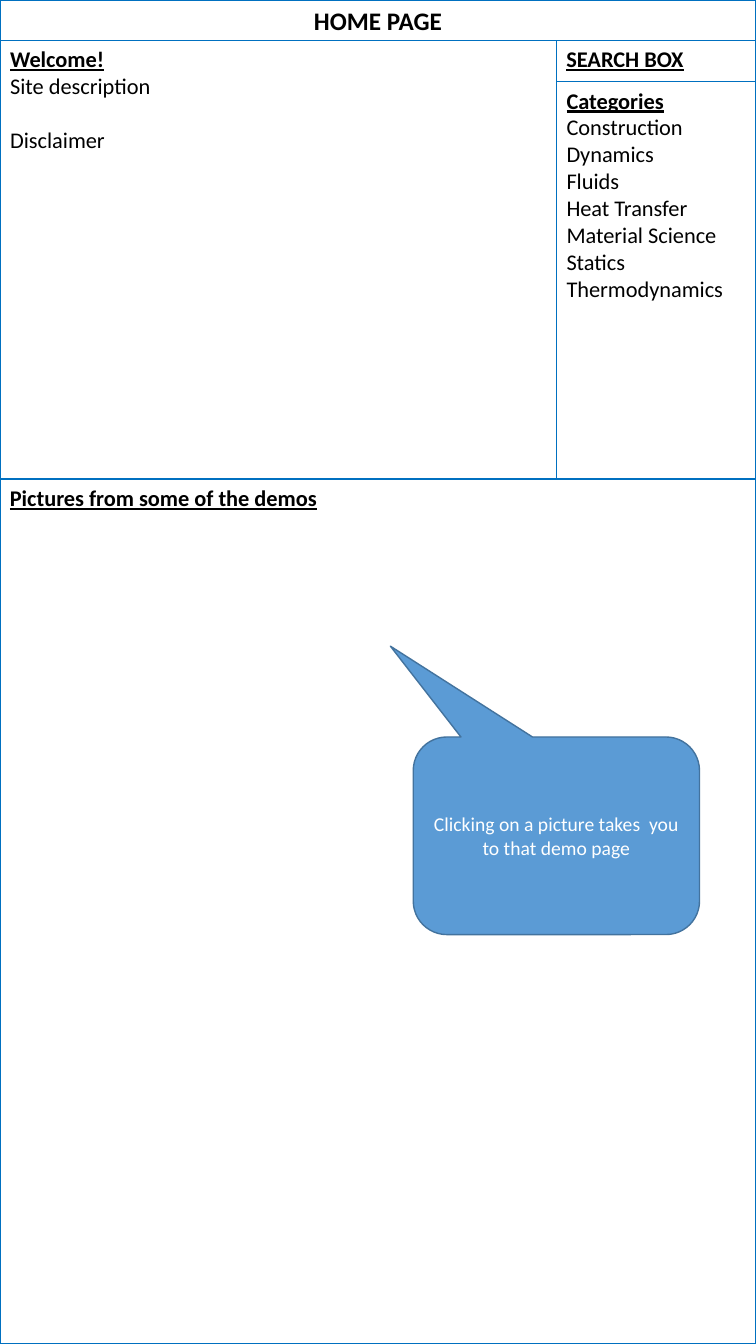
from dataclasses import dataclass
from typing import Optional

from lxml import etree
from pptx import Presentation
from pptx.dml.color import RGBColor
from pptx.enum import shapes, text
from pptx.oxml import ns
from pptx.util import Inches, Pt


@dataclass(frozen=True)
class Theme:
    font: str = "Calibri"
    ink: str = "000000"
    light: str = "FFFFFF"
    border: str = "0070C0"
    callout_fill: str = "5B9BD5"
    callout_line: str = "43739E"
    title_size: float = 18
    panel_size: float = 16
    callout_size: float = 14
    blank_line: float = 19.5


@dataclass(frozen=True)
class Entry:
    words: str
    heading: bool = False
    gap: float = 0


@dataclass(frozen=True)
class Panel:
    left: float
    top: float
    width: float
    height: float
    entries: tuple[Entry, ...] = ()
    placeholder: Optional[int] = None
    size: float = Theme.panel_size
    colour: str = Theme.ink
    underline: bool = True
    align: text.PP_ALIGN = text.PP_ALIGN.JUSTIFY
    anchor: text.MSO_ANCHOR = text.MSO_ANCHOR.TOP
    outline: str = Theme.border
    line_width: float = 1
    fill: Optional[str] = None
    kind: shapes.MSO_SHAPE = shapes.MSO_SHAPE.RECTANGLE
    adjustments: tuple[float, ...] = ()


THEME = Theme()

# Page grid
PAGE_WIDTH, PAGE_HEIGHT = 7.5, 13.33
HEADER = 0.4
SPLIT = 5.52
SIDE = PAGE_WIDTH - SPLIT
SEARCH_BOTTOM = 0.81
GALLERY_TOP = 4.75

CATEGORIES = ("Construction", "Dynamics", "Fluids", "Heat Transfer",
              "Material Science", "Statics", "Thermodynamics")
CENTRED = {"align": text.PP_ALIGN.CENTER, "anchor": text.MSO_ANCHOR.MIDDLE}

PANELS = (
    # Page frame
    Panel(0, 0, PAGE_WIDTH, PAGE_HEIGHT),
    # Header
    Panel(0, 0, PAGE_WIDTH, HEADER, (Entry("HOME PAGE", True),), placeholder=0,
          size=THEME.title_size, underline=False, line_width=0.75, **CENTRED),
    # Welcome
    Panel(0, HEADER, SPLIT, GALLERY_TOP - HEADER,
          (Entry("Welcome!", True), Entry("Site description"),
           Entry("Disclaimer", gap=THEME.blank_line)), placeholder=1),
    # Categories
    Panel(SPLIT, SEARCH_BOTTOM, SIDE, GALLERY_TOP - SEARCH_BOTTOM,
          (Entry("Categories", True), *map(Entry, CATEGORIES)), placeholder=2),
    # Demo gallery
    Panel(0, GALLERY_TOP, PAGE_WIDTH, PAGE_HEIGHT - GALLERY_TOP,
          (Entry("Pictures from some of the demos", True),)),
    # Gallery hint
    Panel(4.1, 7.31, 2.84, 1.96,
          (Entry("Clicking on a picture takes  you to that demo page"),),
          size=THEME.callout_size, colour=THEME.light, outline=THEME.callout_line,
          fill=THEME.callout_fill, kind=shapes.MSO_SHAPE.ROUNDED_RECTANGULAR_CALLOUT,
          adjustments=(-0.58, -0.96, 0.17), **CENTRED),
    # Search
    Panel(SPLIT, HEADER, SIDE, SEARCH_BOTTOM - HEADER, (Entry("SEARCH BOX", True),)),
)


def apply(target, values: dict) -> None:
    for name, value in values.items():
        setattr(target, name, value)


def write_entries(frame, panel: Panel) -> None:
    apply(frame, {"word_wrap": True, "auto_size": text.MSO_AUTO_SIZE.NONE,
                  "vertical_anchor": panel.anchor,
                  "margin_left": Inches(0.1), "margin_right": Inches(0.1),
                  "margin_top": Inches(0.05), "margin_bottom": Inches(0.05)})
    for index, entry in enumerate(panel.entries):
        para = frame.add_paragraph() if index else frame.paragraphs[0]
        apply(para, {"alignment": panel.align, "line_spacing": 1.0,
                     "space_before": Pt(entry.gap), "space_after": Pt(0)})
        # Plain lines without list bullets
        properties = para._p.get_or_add_pPr()
        properties.set("marL", "0")
        properties.set("indent", "0")
        etree.SubElement(properties, ns.qn("a:buNone"))
        span = para.add_run()
        span.text = entry.words
        apply(span.font, {"name": THEME.font, "size": Pt(panel.size),
                          "bold": entry.heading,
                          "underline": entry.heading and panel.underline})
        span.font.color.rgb = RGBColor.from_string(panel.colour)


def draw_panel(page, panel: Panel) -> None:
    bounds = {name: Inches(getattr(panel, name))
              for name in ("left", "top", "width", "height")}
    if panel.placeholder is None:
        box = page.shapes.add_shape(panel.kind, **bounds)
        box.shadow.inherit = False
    else:
        box = page.placeholders[panel.placeholder]
        apply(box, bounds)
    for index, value in enumerate(panel.adjustments):
        box.adjustments[index] = value
    if panel.fill:
        box.fill.solid()
        box.fill.fore_color.rgb = RGBColor.from_string(panel.fill)
    else:
        box.fill.background()
    box.line.color.rgb = RGBColor.from_string(panel.outline)
    box.line.width = Pt(panel.line_width)
    if panel.entries:
        write_entries(box.text_frame, panel)


def main() -> None:
    deck = Presentation()
    deck.slide_width, deck.slide_height = Inches(PAGE_WIDTH), Inches(PAGE_HEIGHT)
    page = deck.slides.add_slide(deck.slide_layouts.get_by_name("Two Content"))
    for panel in PANELS:
        draw_panel(page, panel)
    deck.save("out.pptx")


if __name__ == "__main__":
    main()
